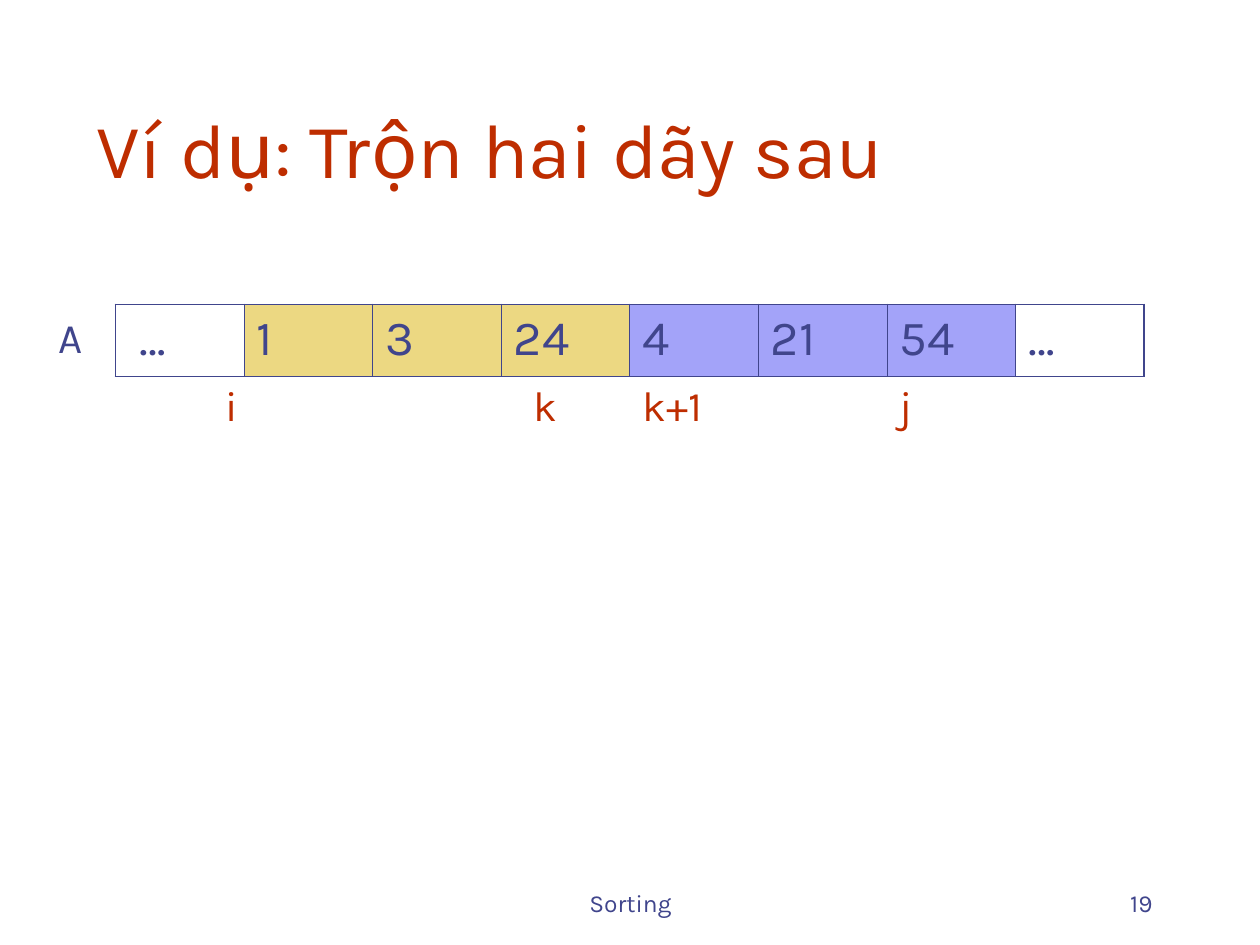
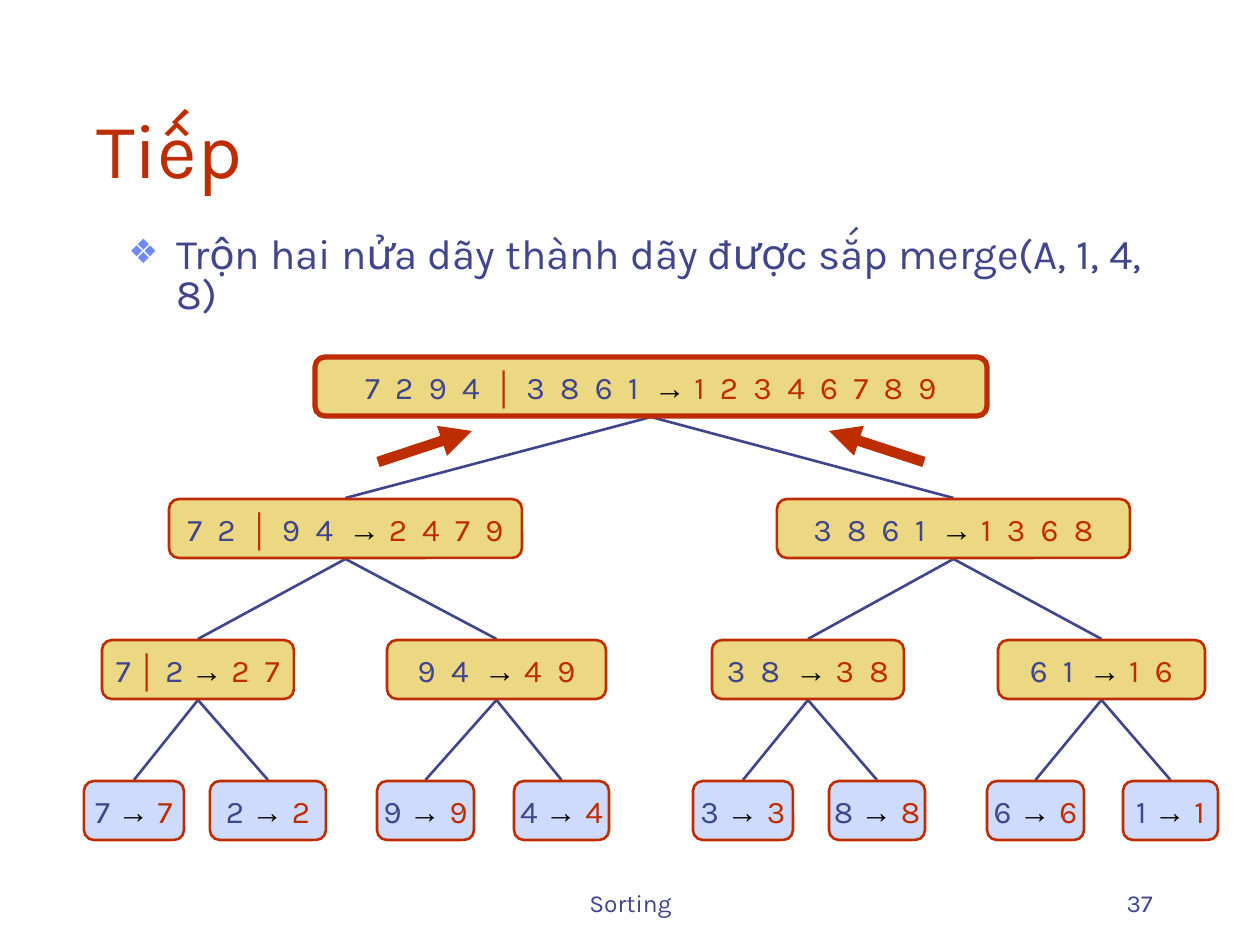
"""Build two slides on merging sorted sequences."""
from lxml import etree
from pptx import Presentation
from pptx.dml.color import RGBColor
from pptx.enum import shapes, text as txt
from pptx.oxml import ns
from pptx.util import Emu, Pt


class Theme:
    navy, red, black = "40458C", "BE2D00", "000000"
    gold, lilac, pale, mark = "ECD882", "A3A3F9", "CFDBFD", "6F89F7"
    font, sign = "Karla", "Arial"
    title, cell, body, node, foot = 44, 28, 24, 18, 14
    thin, edge, line, bold, arrow = 0.45, 1.08, 1.5, 3, 6
    gap = 225


PAGES = [("Ví dụ: Trộn hai dãy sau", "19"), ("Tiếp", "37")]
FOOT = "Sorting"
POINT = "Trộn hai nửa dãy thành dãy được sắp merge(A, 1, 4, 8)"

LABEL = "A"
CELLS = [("…", None), ("1", Theme.gold), ("3", Theme.gold), ("24", Theme.gold),
         ("4", Theme.lilac), ("21", Theme.lilac), ("54", Theme.lilac), ("…", None)]
MARKS = {0: "i", 3: "k", 4: "k+1", 6: "j"}
INSETS = {(0, 0): 24, (1, 0): 110, (1, 3): 32}
SPANS = [(0, 1), (6, 7)]

TREE = [
    (357, [(315, 672, "7 2 9 4 │ 3 8 6 1 → 1 2 3 4 6 7 8 9")]),
    (499, [(169, 353, "7 2 │ 9 4 → 2 4 7 9"), (777, 353, "3 8 6 1 → 1 3 6 8")]),
    (640, [(102, 192, "7 │ 2 → 2 7"), (387, 219, "9 4 → 4 9"),
           (712, 192, "3 8 → 3 8"), (998, 207, "6 1 → 1 6")]),
    (781, [(84, 100, "7 → 7"), (210, 116, "2 → 2"), (377, 97, "9 → 9"),
           (514, 95, "4 → 4"), (693, 100, "3 → 3"), (829, 96, "8 → 8"),
           (987, 97, "6 → 6"), (1123, 95, "1 → 1")]),
]
NODE_H = 59
ARROWS = [(378, 462, 472, 431), (924, 462, 829, 431)]

ALIGN = {"l": txt.PP_ALIGN.LEFT, "c": txt.PP_ALIGN.CENTER, "r": txt.PP_ALIGN.RIGHT}
ANCHOR = {"t": txt.MSO_ANCHOR.TOP, "m": txt.MSO_ANCHOR.MIDDLE, "b": txt.MSO_ANCHOR.BOTTOM}


def px(*vals):
    """Turn pixels into EMU."""
    return [Emu(round(v * 914400 / 126)) for v in vals]


def rgb(hue):
    """Turn a hex string into a colour."""
    return RGBColor.from_string(hue)


def sub(node, tag, **attrs):
    """Add a drawing element to a node."""
    kid = etree.SubElement(node, ns.qn("a:" + tag))
    for key, val in attrs.items():
        kid.set(key, str(val))
    return kid


def write(frame, text, size=Theme.body, hue=Theme.navy, align="l", anchor="t",
          wrap=True, bullet=None):
    """Fill a frame with text, given as a string or as (text, format) runs."""
    frame.word_wrap = wrap
    frame.vertical_anchor = ANCHOR[anchor]
    para = frame.paragraphs[0]
    para.alignment = ALIGN[align]
    if bullet:
        para.line_spacing = 0.8
        props = para._p.get_or_add_pPr()
        inset = px(48)[0]
        props.set("marL", str(inset))
        props.set("indent", str(-inset))
        sub(sub(props, "buClr"), "srgbClr", val=Theme.mark)
        sub(props, "buSzPct", val=80000)
        sub(props, "buFont", typeface=Theme.sign)
        sub(props, "buChar", char=bullet)
    for part, form in [(text, {})] if isinstance(text, str) else text:
        run = para.add_run()
        run.text = part
        font = run.font
        font.size = Pt(size)
        font.name = form.get("font", Theme.font)
        font.bold = form.get("bold", False)
        font.color.rgb = rgb(form.get("hue", hue))
        if "gap" in form:
            run._r.get_or_add_rPr().set("spc", str(form["gap"]))


def box(slide, spot, text, **form):
    """Add a text box."""
    write(slide.shapes.add_textbox(*px(*spot)).text_frame, text, **form)


def link(slide, ends, hue=Theme.navy, width=Theme.line, head=False):
    """Add a straight line, with an arrowhead at its end if asked."""
    line = slide.shapes.add_connector(shapes.MSO_CONNECTOR.STRAIGHT, *px(*ends))
    line.line.color.rgb = rgb(hue)
    line.line.width = Pt(width)
    if head:
        sub(line.line._get_or_add_ln(), "tailEnd", type="triangle")
    sub(line._element.spPr, "effectLst")


def border(cell, sides):
    """Set the four borders of a cell; a missing side is not drawn."""
    props = cell._tc.get_or_add_tcPr()
    for spot, side in enumerate("LRTB"):
        wide = sides.get(side, 0)
        line = sub(props, "ln" + side, w=Pt(wide))
        if wide:
            sub(sub(line, "solidFill"), "srgbClr", val=Theme.navy)
        else:
            sub(line, "noFill")
        props.insert(spot, line)


def array(slide):
    """Draw the array with its index marks."""
    last = len(CELLS) - 1
    grid = slide.shapes.add_table(2, len(CELLS), *px(115.5, 304.5, 1029, 135)).table
    for flag in ("first_row", "horz_banding"):
        setattr(grid, flag, False)
    for row, high in zip(grid.rows, px(72, 63)):
        row.height = high
    for col, (word, fill) in enumerate(CELLS):
        top, low = grid.cell(0, col), grid.cell(1, col)
        write(top.text_frame, word, size=Theme.cell)
        if col in MARKS:
            write(low.text_frame, MARKS[col], hue=Theme.red)
        low.fill.background()
        if fill:
            top.fill.solid()
            top.fill.fore_color.rgb = rgb(fill)
        else:
            top.fill.background()
        border(top, {"L": Theme.thin if col else Theme.edge,
                     "R": Theme.thin if col < last else Theme.edge,
                     "T": Theme.edge, "B": Theme.thin})
        border(low, {"T": Theme.thin})
    for spot, inset in INSETS.items():
        grid.cell(*spot).margin_left = px(inset)[0]
    for start, end in SPANS:
        grid.cell(1, start).merge(grid.cell(1, end))
    box(slide, (32, 305, 63, 63), LABEL, align="r")


def digits(part, hue):
    """Format a run of digits, spread out when there are several."""
    spread = {"gap": Theme.gap} if len(part.split()) > 1 else {}
    return part, {"hue": hue, **spread}


def runs(text):
    """Split a node's text into its coloured runs."""
    left, right = text.split("→ ")
    head, bar, rest = left.partition("│")
    out = [digits(head, Theme.navy)]
    if bar:
        out += [(bar, {"font": Theme.sign, "hue": Theme.red, "bold": True}),
                digits(rest, Theme.navy)]
    return out + [("→ ", {"font": Theme.sign, "hue": Theme.black, "bold": True}),
                  digits(right, Theme.red)]


def tree(slide):
    """Draw the merge tree, links first."""
    for (top, above), (low, below) in zip(TREE, TREE[1:]):
        for num, (left, wide, _) in enumerate(below):
            base, span, _ = above[num // 2]
            link(slide, (left + wide / 2, low - 1,
                         base + span / 2, top + NODE_H + 1))
    for rank, (top, nodes) in enumerate(TREE):
        for left, wide, text in nodes:
            node = slide.shapes.add_shape(shapes.MSO_SHAPE.ROUNDED_RECTANGLE,
                                          *px(left, top, wide, NODE_H))
            node.shadow.inherit = False
            node.fill.solid()
            node.fill.fore_color.rgb = rgb(Theme.gold if rank < 3 else Theme.pale)
            node.line.color.rgb = rgb(Theme.red)
            node.line.width = Pt(Theme.line if rank else Theme.bold)
            write(node.text_frame, runs(text), size=Theme.node,
                  align="c", anchor="m", wrap=False)
    for ends in ARROWS:
        link(slide, ends, hue=Theme.red, width=Theme.arrow, head=True)


def page(deck, title, num):
    """Add a slide with its title and footers."""
    slide = deck.slides.add_slide(deck.slide_layouts[6])
    box(slide, (431, 861, 399, 63), FOOT, size=Theme.foot, align="c", anchor="b")
    box(slide, (903, 861, 262, 63), num, size=Theme.foot, align="r", anchor="b")
    box(slide, (84, 42, 1071, 158), title, size=Theme.title, hue=Theme.red, anchor="b")
    return slide


def main():
    """Build and save the deck."""
    deck = Presentation()
    deck.slide_width, deck.slide_height = px(1260, 945)
    first, second = [page(deck, *item) for item in PAGES]
    array(first)
    box(second, (116, 231, 1071, 95), POINT, bullet="❖")
    tree(second)
    deck.save("out.pptx")


if __name__ == "__main__":
    main()
